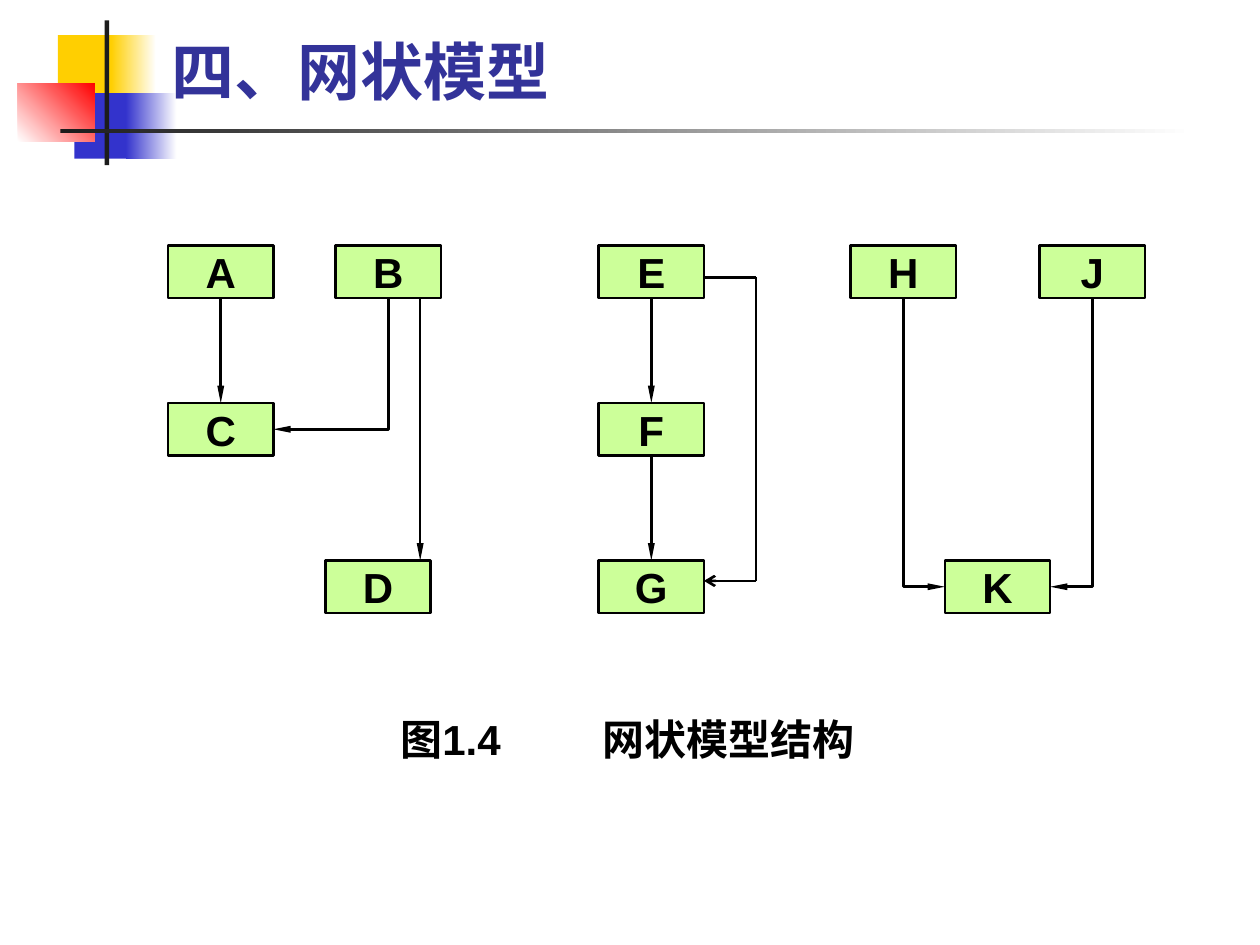
from lxml.etree import SubElement
from pptx import Presentation
from pptx.dml.color import RGBColor
from pptx.enum.shapes import MSO_CONNECTOR as Link, MSO_SHAPE as Shape
from pptx.enum.text import MSO_ANCHOR as Anchor, MSO_AUTO_SIZE as AutoSize, PP_ALIGN as Align
from pptx.oxml.ns import qn
from pptx.util import Cm, Pt

TOP, LEFT, BOTTOM, RIGHT = range(4)
BOX_WIDTH, BOX_HEIGHT = 2.12, 1.06
FIRST_ROW, ROW_STEP = 4.95, 3.175
BLACK = "000000"
LABEL = {"name": "Arial", "size": Pt(24), "bold": True}
HEADING = {"name": "Lato", "size": Pt(36), "bold": True}

# Node name: left edge in cm, row number
NODES = {
    "A": (3.39, 0), "B": (6.77, 0), "C": (3.39, 1), "D": (6.56, 2),
    "E": (12.07, 0), "F": (12.07, 1), "G": (12.07, 2),
    "H": (17.15, 0), "J": (20.96, 0), "K": (19.05, 2),
}

# Left, top, width, height, colours, gradient angle
DECORATIONS = [
    (1.17, 0.71, 1.22, 1.32, ["FFCF01"], 0),
    (2.24, 0.71, 0.91, 1.32, ["FFCF01", "FFFFFF"], 0),
    (1.50, 1.88, 1.17, 1.32, ["3333CC"], 0),
    (2.54, 1.88, 1.02, 1.32, ["3333CC", "FFFFFF"], 0),
    (0.36, 1.68, 1.55, 1.17, ["FFFFFF", "FF0000"], 45),
    (2.11, 0.41, 0.09, 2.92, ["1C1C1C"], 0),
    (1.22, 2.60, 22.86, 0.09, ["1C1C1C", "FFFFFF"], 0),
]


def color(value):
    return RGBColor.from_string(value)


def set_values(target, values):
    for name, value in values.items():
        setattr(target, name, value)


def write(para, text, values, text_color):
    span = para.add_run()
    span.text = text
    set_values(span.font, values)
    span.font.color.rgb = color(text_color)


def add_rectangle(slide, left, top, width, height, colors, angle=0):
    box = slide.shapes.add_shape(Shape.RECTANGLE, Cm(left), Cm(top), Cm(width), Cm(height))
    box.shadow.inherit = False
    box.line.fill.background()
    if len(colors) == 1:
        box.fill.solid()
        box.fill.fore_color.rgb = color(colors[0])
    else:
        box.fill.gradient()
        box.fill.gradient_angle = angle
        for stop, value in zip(box.fill.gradient_stops, colors):
            stop.color.rgb = color(value)
    return box


def add_node(slide, name, left, row):
    top = FIRST_ROW + row * ROW_STEP
    box = add_rectangle(slide, left, top, BOX_WIDTH, BOX_HEIGHT, ["CCFF99"])
    box.line.color.rgb = color(BLACK)
    box.line.width = Pt(1.5)
    set_values(box.text_frame, {"word_wrap": False, "vertical_anchor": Anchor.MIDDLE})
    para = box.text_frame.paragraphs[0]
    para.alignment = Align.CENTER
    write(para, name, LABEL, BLACK)
    return box


def add_line(slide, start=(0, 0), end=(0, 0), kind=Link.STRAIGHT):
    x1, y1, x2, y2 = (Cm(value) for value in (*start, *end))
    line = slide.shapes.add_connector(kind, x1, y1, x2, y2)
    line.line.color.rgb = color(BLACK)
    line.line.width = Pt(1.5)
    SubElement(line._element.spPr, qn("a:effectLst"))
    return line


def add_arrowhead(line, end="tailEnd", kind="triangle", width="sm", length="lg"):
    outline = line.line._get_or_add_ln()
    SubElement(outline, qn(f"a:{end}"), type=kind, w=width, len=length)


def add_straight_arrow(slide, upper, lower):
    line = add_line(slide)
    line.begin_connect(upper, BOTTOM)
    line.end_connect(lower, TOP)
    add_arrowhead(line)


def add_corner_arrow(slide, source, target, side):
    # Drawn from the target, so that the single corner lies below the source
    line = add_line(slide, kind=Link.ELBOW)
    line.begin_connect(target, side)
    line.end_connect(source, BOTTOM)
    line._element.spPr.find(qn("a:prstGeom")).set("prst", "bentConnector2")
    add_arrowhead(line, "headEnd")


def add_caption(slide):
    box = slide.shapes.add_textbox(Cm(7.82), Cm(14.25), Cm(11), Cm(1.27))
    box.text_frame.word_wrap = True
    para = box.text_frame.paragraphs[0]
    para.space_before = Pt(15)
    tabs = SubElement(para._p.get_or_add_pPr(), qn("a:tabLst"))
    SubElement(tabs, qn("a:tab"), pos=str(Cm(4.08)), algn="l")
    write(para, "图1.4\t网状模型结构", LABEL, BLACK)


def format_title(slide):
    title = slide.shapes.title
    set_values(title, {"left": Cm(3.2), "top": Cm(0.58), "width": Cm(21.64), "height": Cm(1.73)})
    set_values(title.text_frame, {
        "word_wrap": True, "auto_size": AutoSize.NONE, "vertical_anchor": Anchor.BOTTOM,
    })
    para = title.text_frame.paragraphs[0]
    para.alignment = Align.LEFT
    write(para, "四、网状模型", HEADING, "333399")
    # Bring the title in front of the decorations
    slide.shapes._spTree.append(title._element)


def main():
    deck = Presentation()
    deck.slide_width, deck.slide_height = Cm(25.4), Cm(19.05)
    page = deck.slides.add_slide(deck.slide_layouts[5])

    # Corner decoration and title
    for decoration in DECORATIONS:
        add_rectangle(page, *decoration)
    format_title(page)

    # Nodes and the links between them
    nodes = {name: add_node(page, name, *place) for name, place in NODES.items()}
    for upper, lower in ("AC", "EF", "FG"):
        add_straight_arrow(page, nodes[upper], nodes[lower])
    for source, target, side in (("B", "C", RIGHT), ("H", "K", LEFT), ("J", "K", RIGHT)):
        add_corner_arrow(page, nodes[source], nodes[target], side)
    add_arrowhead(add_line(page, (8.47, 6.01), (8.47, 11.3)))

    # Loop from E round to G
    loop = [(14.19, 5.59), (15.24, 5.59), (15.24, 11.71), (14.19, 11.71)]
    sides = [add_line(page, start, end) for start, end in zip(loop, loop[1:])]
    add_arrowhead(sides[-1], kind="arrow", width="med", length="med")

    add_caption(page)
    deck.save("out.pptx")


if __name__ == "__main__":
    main()
